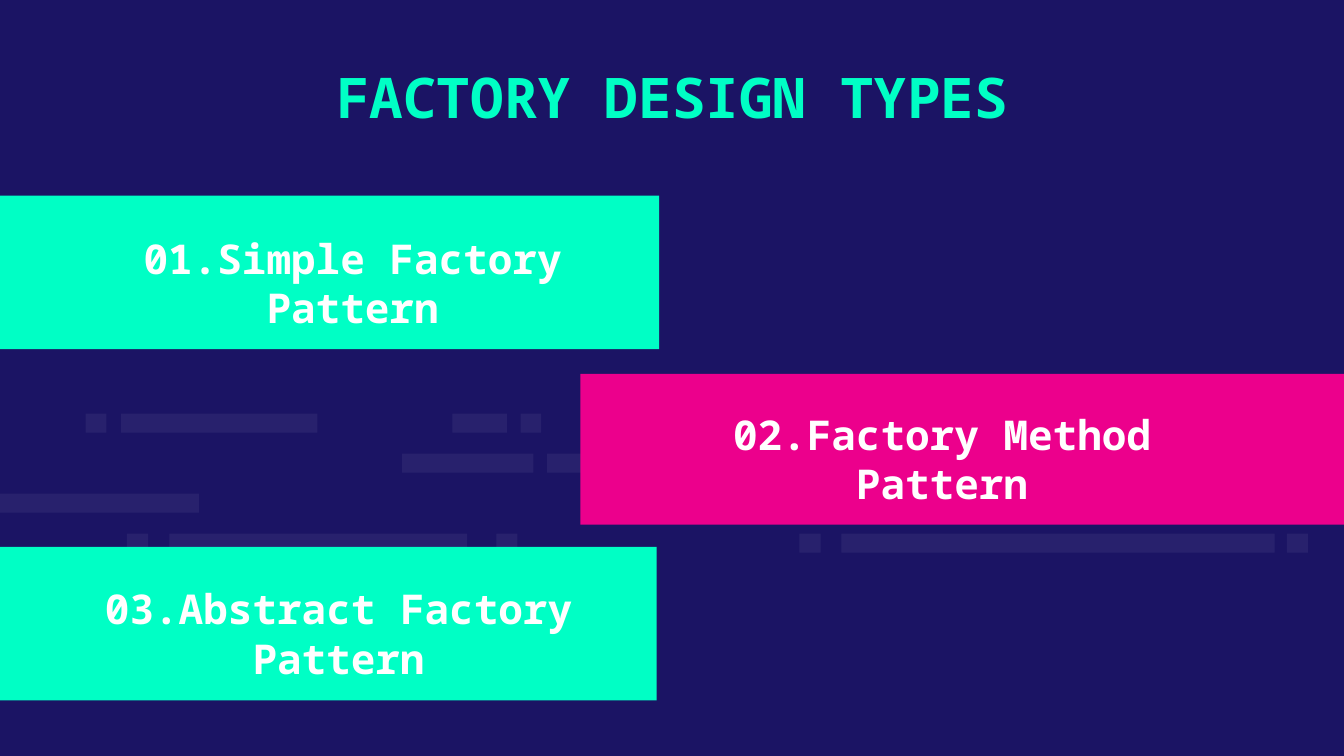
from lxml import etree
from pptx import Presentation
from pptx.dml.color import RGBColor
from pptx.enum.shapes import MSO_SHAPE
from pptx.enum.text import MSO_ANCHOR, PP_ALIGN
from pptx.oxml.ns import qn
from pptx.util import Cm, Pt

COLORS = {"navy": "1B1464", "mint": "00FFC5", "pink": "EC008C", "white": "FFFFFF"}

deck = Presentation()
deck.slide_width, deck.slide_height = Cm(25.4), Cm(14.29)
slide = deck.slides.add_slide(deck.slide_layouts[6])
slide.background.fill.solid()
slide.background.fill.fore_color.rgb = RGBColor.from_string(COLORS["navy"])


def add_block(left, top, width, height, color, opacity=100):
    block = slide.shapes.add_shape(
        MSO_SHAPE.RECTANGLE, Cm(left), Cm(top), Cm(width), Cm(height))
    block.shadow.inherit = False
    block.line.fill.background()
    block.fill.solid()
    block.fill.fore_color.rgb = RGBColor.from_string(COLORS[color])
    if opacity < 100:
        tint = block.fill._xPr.find(".//" + qn("a:srgbClr"))
        etree.SubElement(tint, qn("a:alpha")).set("val", str(opacity * 1000))


def add_heading(text, left, top, width, height, size, color, anchor, bottom_inset):
    frame = slide.shapes.add_textbox(
        Cm(left), Cm(top), Cm(width), Cm(height)).text_frame
    frame_format = {
        "word_wrap": True, "vertical_anchor": anchor,
        "margin_left": Cm(0.25), "margin_right": Cm(0.25),
        "margin_top": Cm(0.25), "margin_bottom": Cm(bottom_inset),
    }
    for name, value in frame_format.items():
        setattr(frame, name, value)
    line = frame.paragraphs[0]
    line.alignment = PP_ALIGN.CENTER
    run = line.add_run()
    run.text = text
    for name, value in {"name": "Noto Sans Mono", "size": Pt(size), "bold": True}.items():
        setattr(run.font, name, value)
    run.font.color.rgb = RGBColor.from_string(COLORS[color])


# Faint code lines behind the panels: (left, width) of each dash, row by row
code_rows = [
    [(1.62, 0.39), (2.29, 3.71), (8.55, 1.03), (9.84, 0.39)],
    [(7.6, 2.48), (10.34, 1.02)],
    [(0, 3.76)],
    [(2.4, 0.4), (3.2, 5.63), (9.38, 0.4), (15.11, 0.4), (15.9, 8.19), (24.32, 0.4)],
]
for row, dashes in enumerate(code_rows):
    for left, width in dashes:
        add_block(left, 7.82 + row * 0.756, width, 0.36, "white", opacity=6)

# Title
add_heading("FACTORY DESIGN TYPES", 3.56, 0.94, 18.29, 1.85, 30, "mint",
            MSO_ANCHOR.TOP, 0.25)

# Pattern panels: label, panel colour, panel box, label box
patterns = [
    ("01.Simple Factory Pattern", "mint", (0, 3.7, 12.46, 2.9), (1.7, 4.24, 9.93, 2.03)),
    ("02.Factory Method Pattern", "pink", (10.97, 7.07, 14.43, 2.85), (13.26, 7.39, 9.09, 2.21)),
    ("03.Abstract Factory Pattern", "mint", (-0.05, 10.34, 12.46, 2.9), (1.5, 10.87, 9.8, 2.03)),
]
for label, color, panel_box, label_box in patterns:
    add_block(*panel_box, color)
    add_heading(label, *label_box, 22, "white", MSO_ANCHOR.BOTTOM, 0)

deck.save("out.pptx")
